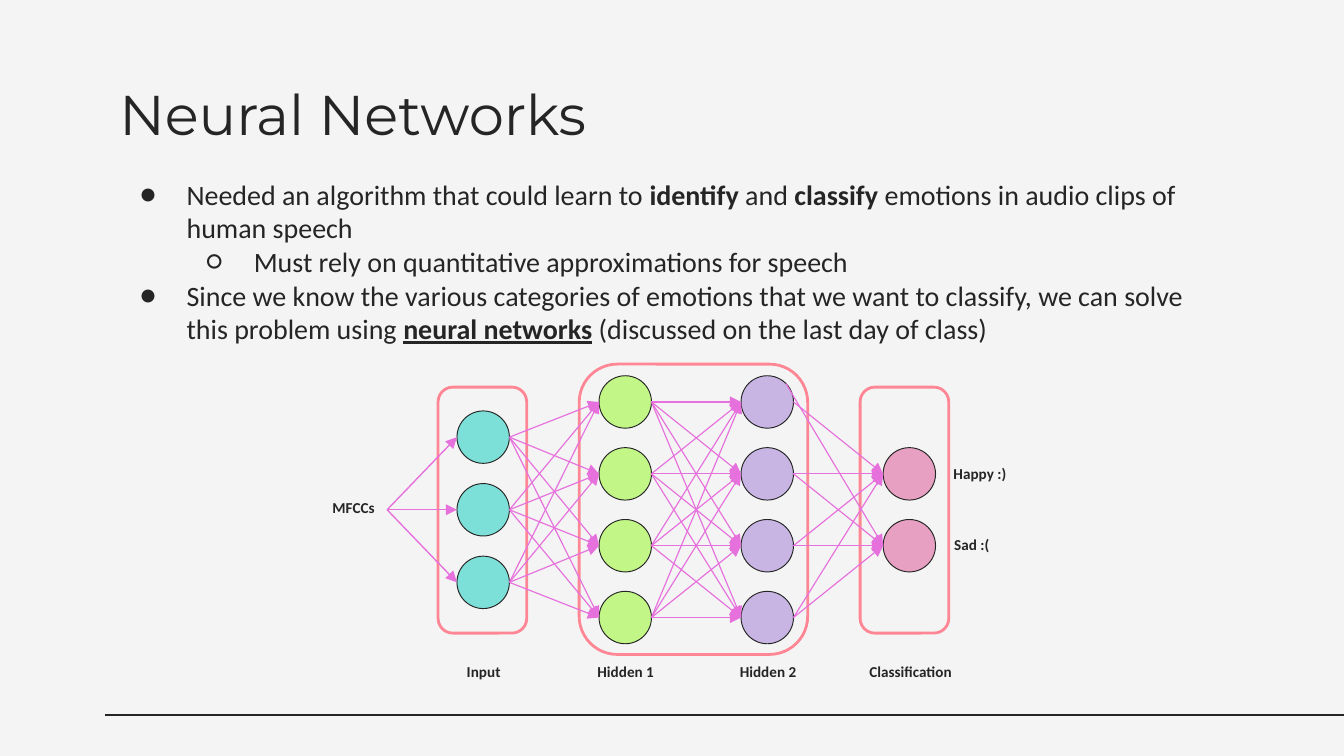
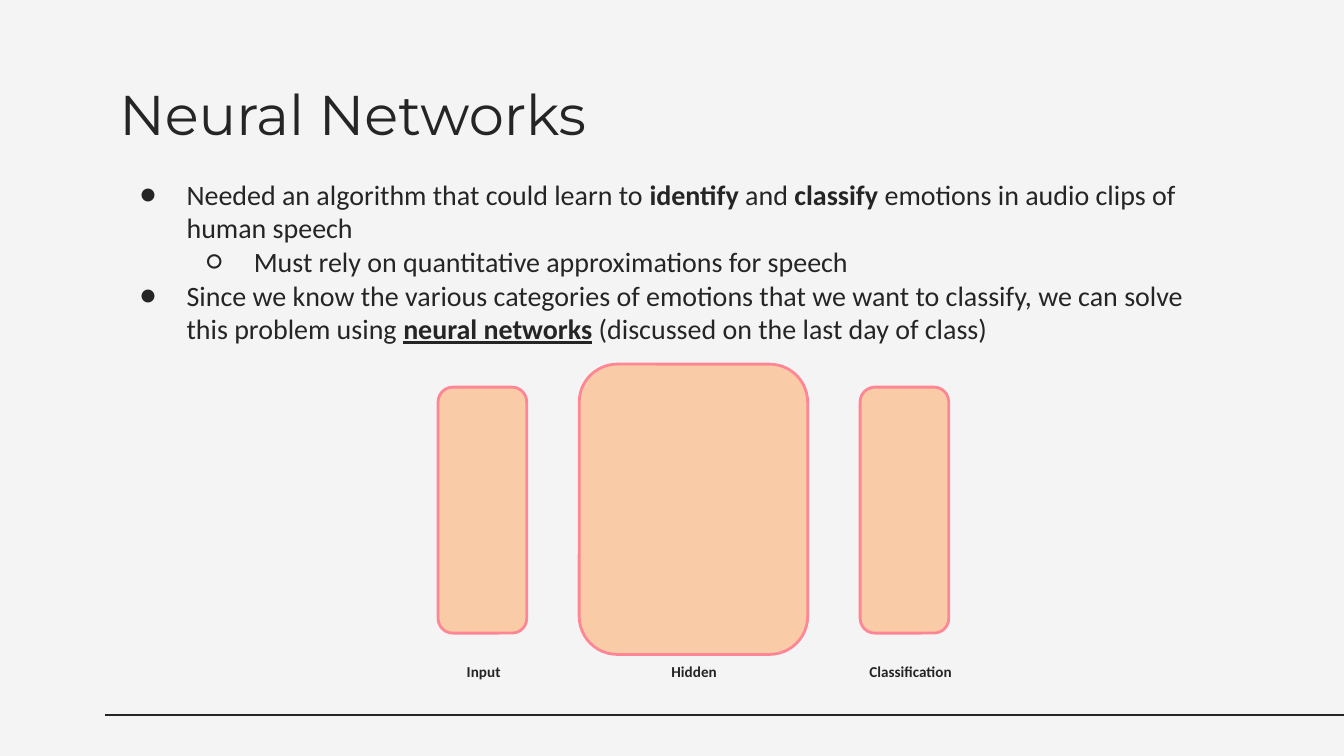
"""Builds two slides on recognising emotions in speech with neural networks."""
from itertools import product
from math import cos, pi
from lxml import etree
from pptx import Presentation
from pptx.dml.color import RGBColor
from pptx.enum.shapes import MSO_CONNECTOR, MSO_SHAPE
from pptx.enum.text import PP_ALIGN
from pptx.oxml.ns import qn
from pptx.util import Pt

INK = RGBColor(0x25, 0x25, 0x25)
PAPER = RGBColor(0xF4, 0xF4, 0xF4)
CORAL = RGBColor(0xFF, 0x87, 0x95)
PEACH = RGBColor(0xF9, 0xCB, 0xA6)
MAGENTA = RGBColor(0xE6, 0x71, 0xDC)
TEAL = RGBColor(0x7D, 0xE0, 0xD8)
LIME = RGBColor(0xC2, 0xF6, 0x86)
LILAC = RGBColor(0xC8, 0xB5, 0xE4)
ROSE = RGBColor(0xE7, 0xA0, 0xC2)

TITLE = "Neural Networks"
POINTS = [
    (0, [("Needed an algorithm that could learn to ", ""), ("identify", "b"), (" and ", ""),
         ("classify", "b"), (" emotions in audio clips of human speech", "")]),
    (1, [("Must rely on quantitative approximations for speech", "")]),
    (0, [("Since we know the various categories of emotions that we want to classify, "
          "we can solve this problem using ", ""),
         ("neural networks", "bu"), (" (discussed on the last day of class)", "")]),
]
BULLETS = "●○"

FRAMES = [(310.3, 195.1, 122.4, 155.5), (460.8, 207.4, 47.5, 131.8), (234.7, 207.4, 47.5, 131.8)]
LAYERS = [(3, 38.9, TEAL), (4, 38.5, LIME), (4, 38.5, LILAC), (2, 38.5, ROSE)]
NODE_LEFT, NODE_STEP, NODE_SIZE, MIDDLE = 244.8, 76.1, 28.1, 273.1
FEED = (207.4, MIDDLE)
RAISED_LINK = (2, 0, 1)

LABEL_TOP = 350
END_LABELS = [("Input", 239, LABEL_TOP, 40.3, PP_ALIGN.CENTER),
              ("Classification", 457.9, LABEL_TOP, 59.8, PP_ALIGN.CENTER)]
NETWORK_LABELS = END_LABELS + [
    ("Hidden 1", 308.2, LABEL_TOP, 54, PP_ALIGN.CENTER),
    ("Hidden 2", 384.5, LABEL_TOP, 54, PP_ALIGN.CENTER),
    ("Happy :)", 495.1, 243.9, 59.8, PP_ALIGN.CENTER),
    ("Sad :(", 490.7, 281.7, 59.8, PP_ALIGN.CENTER),
    ("MFCCs", 169.2, 262.1, 37.4, PP_ALIGN.RIGHT),
]
BLOCK_LABELS = END_LABELS + [("Hidden", 344.9, LABEL_TOP, 54, PP_ALIGN.CENTER)]


def add_box(slide, left, top, width, height, inset):
    frame = slide.shapes.add_textbox(Pt(left), Pt(top), Pt(width), Pt(height)).text_frame
    frame.word_wrap = True
    frame.margin_left = frame.margin_right = Pt(inset)
    frame.margin_top = frame.margin_bottom = Pt(inset)
    return frame


def add_run(paragraph, text, size, face="Calibri", style=""):
    run = paragraph.add_run()
    run.text = text
    run.font.name = face
    run.font.size = Pt(size)
    run.font.color.rgb = INK
    run.font.bold = "b" in style
    run.font.underline = "u" in style


def set_bullet(paragraph, level):
    paragraph.level = level
    props = paragraph._p.get_or_add_pPr()
    props.set("marL", str(Pt(36 * (level + 1))))
    props.set("indent", str(Pt(-25.2)))
    colour = etree.SubElement(props, qn("a:buClr"))
    etree.SubElement(colour, qn("a:srgbClr"), val=str(INK))
    etree.SubElement(props, qn("a:buFont"), typeface="Calibri")
    etree.SubElement(props, qn("a:buChar"), char=BULLETS[level])


def add_line(slide, start, end, colour, weight, arrow=False):
    ends = [Pt(value) for value in (*start, *end)]
    line = slide.shapes.add_connector(MSO_CONNECTOR.STRAIGHT, *ends)
    line.line.color.rgb = colour
    line.line.width = Pt(weight)
    if arrow:
        etree.SubElement(line.line._get_or_add_ln(), qn("a:tailEnd"), type="triangle")
    etree.SubElement(line._element.spPr, qn("a:effectLst"))


def add_outlined(slide, kind, box, fill, colour, weight):
    shape = slide.shapes.add_shape(kind, *[Pt(value) for value in box])
    shape.shadow.inherit = False
    if fill is None:
        shape.fill.background()
    else:
        shape.fill.solid()
        shape.fill.fore_color.rgb = fill
    shape.line.color.rgb = colour
    shape.line.width = Pt(weight)


def add_base(deck, frame_fill, labels):
    slide = deck.slides.add_slide(deck.slide_layouts[6])
    slide.background.fill.solid()
    slide.background.fill.fore_color.rgb = PAPER
    add_line(slide, (56.2, 383), (720, 383), INK, 0.75)
    for box in FRAMES:
        add_outlined(slide, MSO_SHAPE.ROUNDED_RECTANGLE, box, frame_fill, CORAL, 1.5)

    title = add_box(slide, 56.9, 35.3, 607, 45.4, 7.2)
    add_run(title.paragraphs[0], TITLE, 30, "Montserrat")

    body = add_box(slide, 56.9, 87.8, 607, 72.7, 7.2)
    for index, (level, runs) in enumerate(POINTS):
        paragraph = body.add_paragraph() if index else body.paragraphs[0]
        set_bullet(paragraph, level)
        for text, style in runs:
            add_run(paragraph, text, 15, style=style)

    for text, left, top, width, align in labels:
        paragraph = add_box(slide, left, top, width, 21.6, 5.8).paragraphs[0]
        paragraph.alignment = align
        add_run(paragraph, text, 8.1, style="b")
    return slide


def add_network(slide):
    radius = NODE_SIZE / 2
    centres = []
    for column, (count, step, fill) in enumerate(LAYERS):
        x = NODE_LEFT + column * NODE_STEP + radius
        centres.append([(x, MIDDLE + (row - (count - 1) / 2) * step) for row in range(count)])
        for _, y in centres[-1]:
            box = (x - radius, y - radius, NODE_SIZE, NODE_SIZE)
            add_outlined(slide, MSO_SHAPE.OVAL, box, fill, INK, 0.5)

    for x, y in centres[0]:
        add_line(slide, FEED, (x - radius, y), MAGENTA, 0.75, arrow=True)
    for column, (sources, targets) in enumerate(zip(centres, centres[1:])):
        for (i, (x, y)), (j, (to_x, to_y)) in product(enumerate(sources), enumerate(targets)):
            diagonal = radius * cos(pi / 4)
            raised = (column, i, j) == RAISED_LINK
            start = (x + diagonal, y - diagonal) if raised else (x + radius, y)
            add_line(slide, start, (to_x - radius, to_y), MAGENTA, 0.61, arrow=True)


def main():
    deck = Presentation()
    deck.slide_width, deck.slide_height = Pt(720), Pt(405)
    add_network(add_base(deck, None, NETWORK_LABELS))
    add_base(deck, PEACH, BLOCK_LABELS)
    deck.save("out.pptx")


if __name__ == "__main__":
    main()
